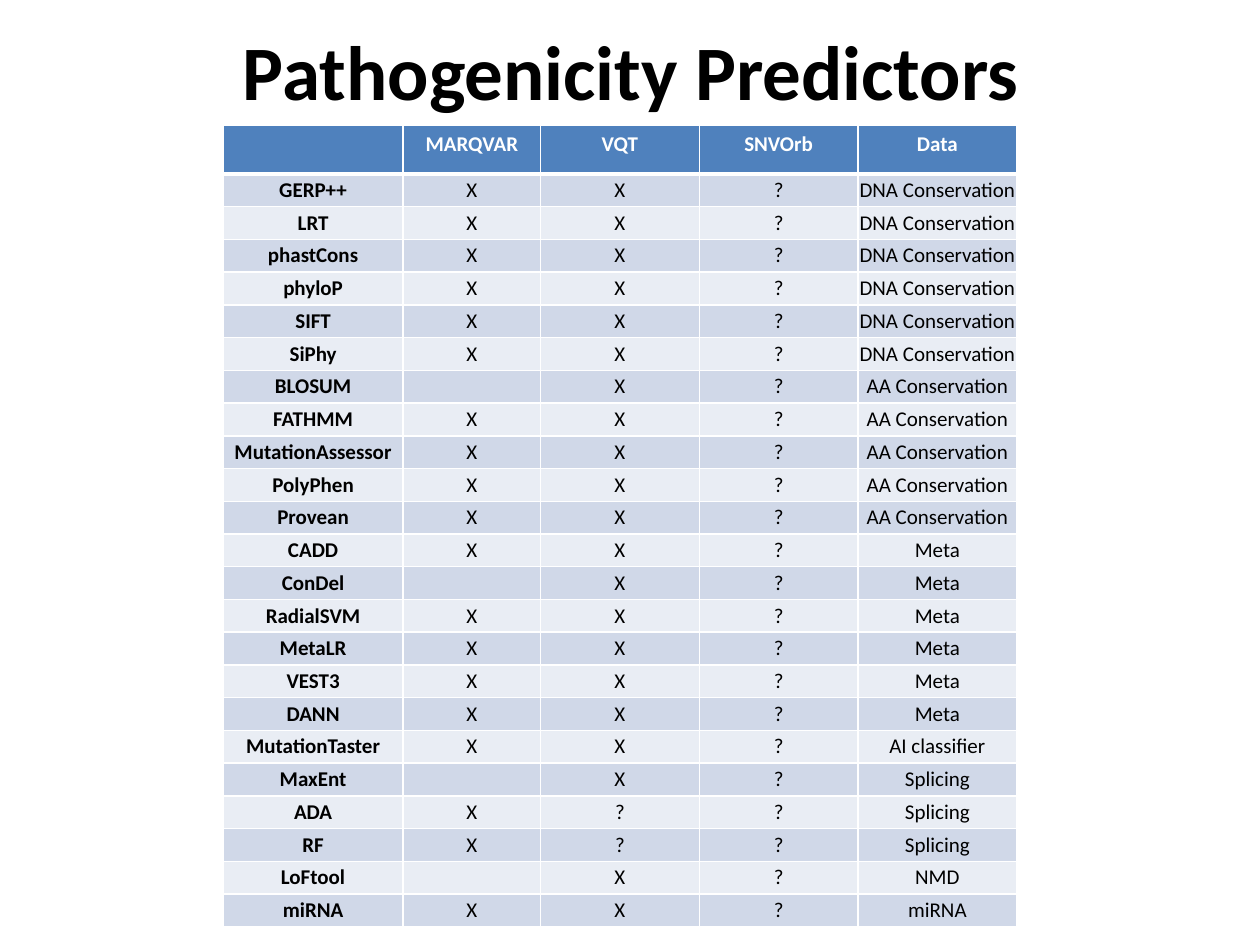
import pptx
import pptx.util
import pptx.dml.color
import pptx.enum.text
import pptx.oxml.ns
from lxml import etree

Inches, Pt = pptx.util.Inches, pptx.util.Pt
RGBColor = pptx.dml.color.RGBColor
CENTER = pptx.enum.text.PP_ALIGN.CENTER
TOP, MIDDLE = pptx.enum.text.MSO_ANCHOR.TOP, pptx.enum.text.MSO_ANCHOR.MIDDLE
qn = pptx.oxml.ns.qn

BLACK = RGBColor(0x00, 0x00, 0x00)
WHITE = RGBColor(0xFF, 0xFF, 0xFF)
HEADER_BLUE = RGBColor(0x4F, 0x81, 0xBD)
BANDS = (RGBColor(0xD0, 0xD8, 0xE8), RGBColor(0xE9, 0xED, 0xF4))

TITLE = "Pathogenicity Predictors"
HEADER = ("", "MARQVAR", "VQT", "SNVOrb", "Data")
PREDICTORS = {
    "DNA Conservation": ("GERP++", "LRT", "phastCons", "phyloP", "SIFT", "SiPhy"),
    "AA Conservation": ("BLOSUM", "FATHMM", "MutationAssessor", "PolyPhen", "Provean"),
    "Meta": ("CADD", "ConDel", "RadialSVM", "MetaLR", "VEST3", "DANN"),
    "AI classifier": ("MutationTaster",),
    "Splicing": ("MaxEnt", "ADA", "RF"),
    "NMD": ("LoFtool",),
    "miRNA": ("miRNA",),
}
NOT_IN_FIRST_TOOL = {"BLOSUM", "ConDel", "MaxEnt", "LoFtool"}
UNKNOWN_IN_SECOND_TOOL = {"ADA", "RF"}

COLUMN_WIDTHS = (1.43, 1.09, 1.26, 1.26, 1.26)
HEADER_HEIGHT, ROW_HEIGHT = 0.39, 0.26
TABLE_LEFT, TABLE_TOP = 1.77, 0.99
TEXT_SIZE = 12


def write(paragraph, text, **font):
    paragraph.alignment = CENTER
    span = paragraph.add_run()
    span.text = text
    span.font.name = "Calibri"
    span.font.color.rgb = font.pop("color")
    for name, value in font.items():
        setattr(span.font, name, value)


def draw_borders(cell, top, bottom):
    properties = cell._tc.get_or_add_tcPr()
    for side, width in (("L", 1), ("R", 1), ("T", top), ("B", bottom)):
        line = etree.SubElement(properties, qn(f"a:ln{side}"), w=str(Pt(width)))
        fill = etree.SubElement(line, qn("a:solidFill"))
        etree.SubElement(fill, qn("a:srgbClr"), val=str(WHITE))


def fill_cell(cell, text, row, column):
    is_header = row == 0
    draw_borders(cell, top=3 if row == 1 else 1, bottom=3 if is_header else 1)
    cell.fill.solid()
    cell.fill.fore_color.rgb = HEADER_BLUE if is_header else BANDS[(row - 1) % 2]
    cell.vertical_anchor = TOP if is_header else MIDDLE
    if not is_header:
        for side in ("left", "right", "top", "bottom"):
            setattr(cell, f"margin_{side}", 0)
    paragraph = cell.text_frame.paragraphs[0]
    if text:
        write(paragraph, text, size=Pt(TEXT_SIZE), bold=is_header or column == 0,
              color=WHITE if is_header else BLACK)
    else:
        # An empty cell needs its own text size, or its row grows.
        etree.SubElement(paragraph._p, qn("a:endParaRPr"), sz=str(TEXT_SIZE * 100))


def add_title(page):
    box = page.shapes.add_textbox(Inches(0.51), Inches(0), Inches(9), Inches(1.1))
    box.text_frame.word_wrap = True
    box.text_frame.vertical_anchor = MIDDLE
    write(box.text_frame.paragraphs[0], TITLE, size=Pt(44), bold=True, color=BLACK)


def add_predictor_table(page):
    rows = [HEADER] + [
        (name,
         "" if name in NOT_IN_FIRST_TOOL else "X",
         "?" if name in UNKNOWN_IN_SECOND_TOOL else "X",
         "?",
         data)
        for data, names in PREDICTORS.items() for name in names
    ]
    heights = [HEADER_HEIGHT] + [ROW_HEIGHT] * (len(rows) - 1)
    table = page.shapes.add_table(
        len(rows), len(HEADER), Inches(TABLE_LEFT), Inches(TABLE_TOP),
        Inches(sum(COLUMN_WIDTHS)), Inches(sum(heights))).table
    for column, width in zip(table.columns, COLUMN_WIDTHS):
        column.width = Inches(width)
    for row, height in zip(table.rows, heights):
        row.height = Inches(height)
    for row, values in enumerate(rows):
        for column, text in enumerate(values):
            fill_cell(table.cell(row, column), text, row, column)


def main():
    deck = pptx.Presentation()
    deck.slide_width, deck.slide_height = Inches(10), Inches(7.5)
    page = deck.slides.add_slide(deck.slide_layouts[6])
    add_title(page)
    add_predictor_table(page)
    deck.save("out.pptx")


if __name__ == "__main__":
    main()
